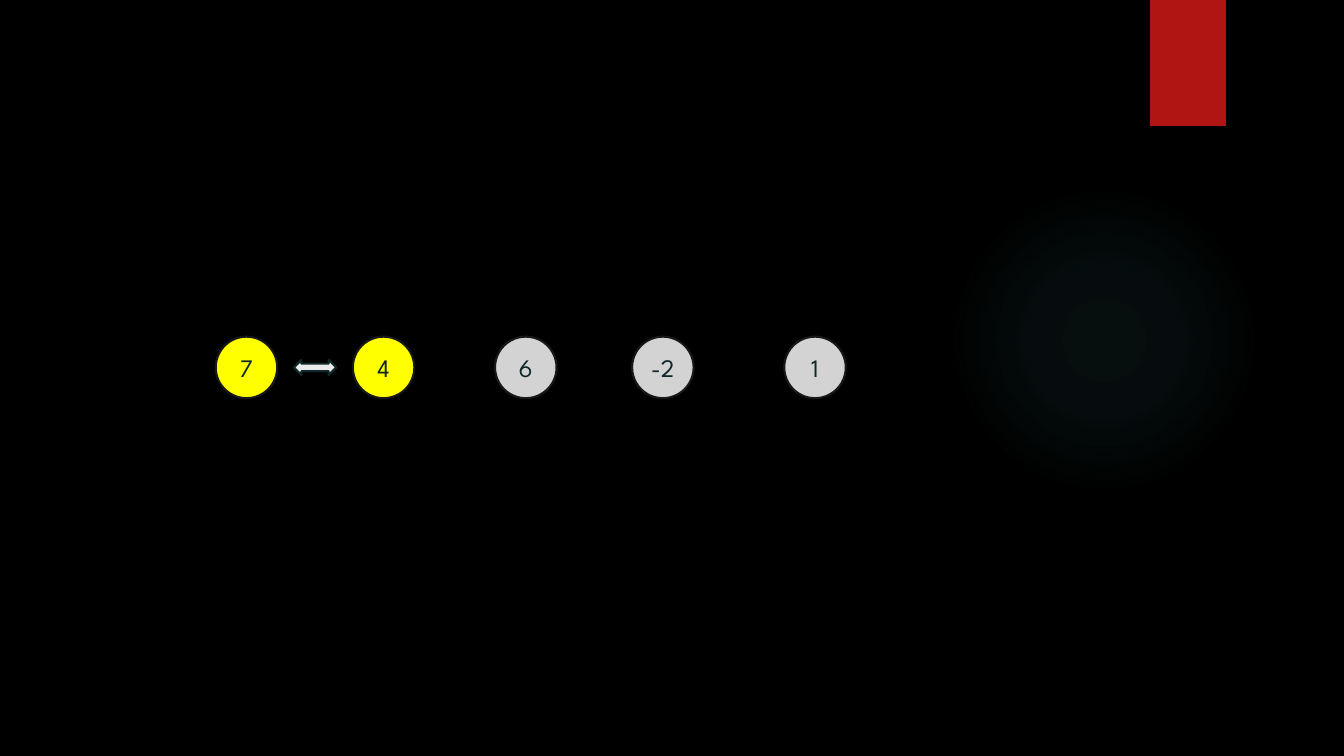
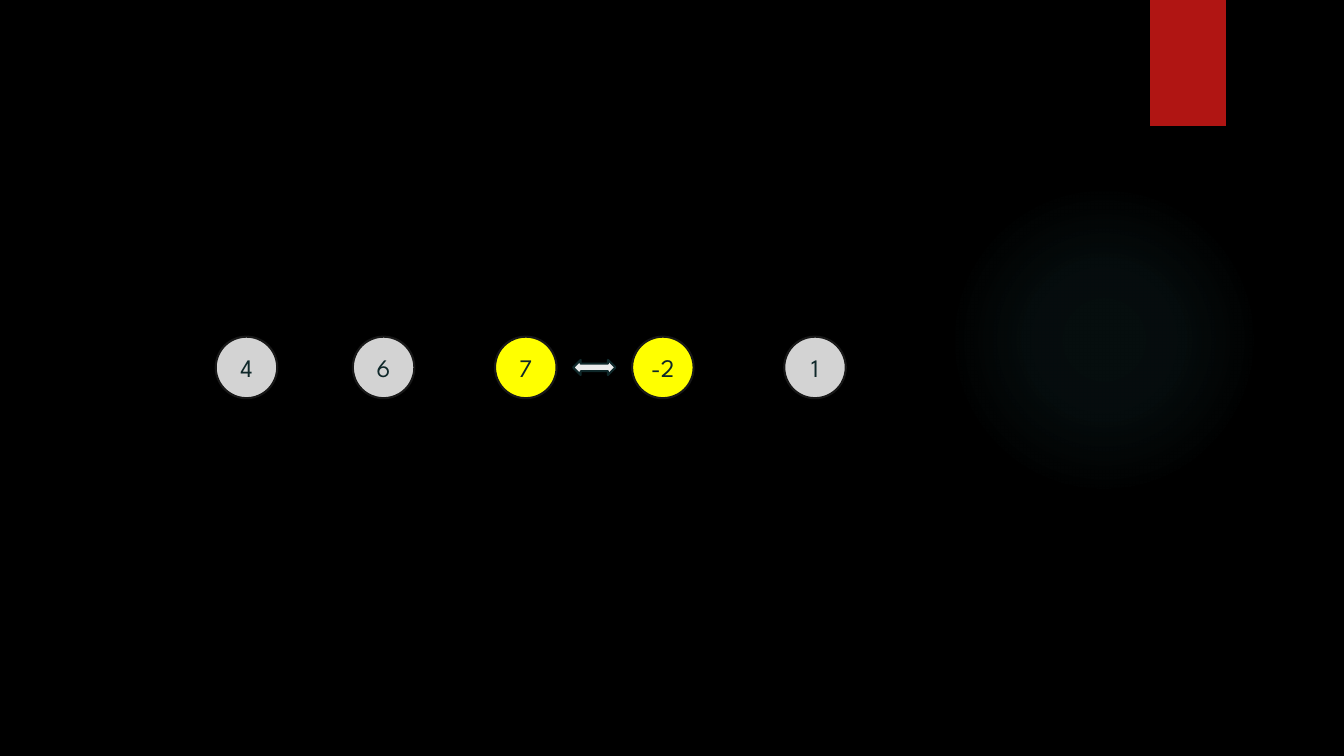
import pptx
import pptx.util
import pptx.dml.color
import pptx.enum.shapes
import pptx.enum.text
import pptx.oxml
import pptx.oxml.ns

HUES = {
    "back": "000000", "glow": "50B9C1", "tab": "B01513",
    "pick": "FFFF00", "rest": "D3D3D3", "rim": "181818",
    "ink": "0F282A", "arrow": "EBEBEB",
}
FONT = "League Spartan"
KIND = pptx.enum.shapes.MSO_SHAPE
SPACE = pptx.oxml.ns.nsdecls("a")

deck = pptx.Presentation()
deck.slide_width = pptx.util.Inches(13.333)
deck.slide_height = pptx.util.Inches(7.5)
COL = deck.slide_width / 100
ROW = deck.slide_height / 100


def hue(name):
    return pptx.dml.color.RGBColor.from_string(HUES[name])


def draw(page, kind, left, top, wide, high, text="", fill=None, line=None,
         size=18, color="ink", font=FONT):
    shape = page.shapes.add_shape(
        kind, int(left * COL), int(top * ROW), int(wide * COL), int(high * ROW))
    shape.shadow.inherit = False
    if fill:
        shape.fill.solid()
        shape.fill.fore_color.rgb = hue(fill)
    else:
        shape.fill.background()
    if line:
        shape.line.color.rgb = hue(line)
        shape.line.width = pptx.util.Pt(1.5)
    else:
        shape.line.fill.background()
    if text:
        frame = shape.text_frame
        frame.word_wrap = False
        frame.margin_left = frame.margin_right = 0
        frame.margin_top = frame.margin_bottom = 0
        frame.vertical_anchor = pptx.enum.text.MSO_ANCHOR.MIDDLE
        par = frame.paragraphs[0]
        par.alignment = pptx.enum.text.PP_ALIGN.CENTER
        run = par.add_run()
        run.text = text
        run.font.size = pptx.util.Pt(size)
        run.font.name = font
        run.font.color.rgb = hue(color)
    return shape


back = deck.slide_master.background.fill
back.solid()
back.fore_color.rgb = hue("back")

stops = "".join(
    f'<a:gs pos="{spot * 1000}"><a:srgbClr val="{HUES["glow"]}">'
    f'<a:alpha val="{alpha * 1000}"/></a:srgbClr></a:gs>'
    for spot, alpha in ((0, 7), (36, 6), (69, 0)))
GLOW = (
    f'<a:gradFill {SPACE} rotWithShape="1"><a:gsLst>{stops}</a:gsLst>'
    '<a:path path="circle"><a:fillToRect l="50000" t="50000" r="50000" b="50000"/>'
    '</a:path></a:gradFill>')
SHADE = (
    f'<a:outerShdw {SPACE} blurRad="38100" dist="25400" dir="5400000" rotWithShape="0">'
    f'<a:srgbClr val="{HUES["back"]}"><a:alpha val="45000"/></a:srgbClr></a:outerShdw>')

SPOTS = (16.05, 26.25, 36.83, 47.03, 58.35)
TOP, WIDE, HIGH = 44.53, 4.58, 8.14
LONG, THICK = 3.15, 2
STEPS = (
    (("7", "4", "6", "-2", "1"), 0),
    (("4", "6", "7", "-2", "1"), 2),
)

for items, first in STEPS:
    page = deck.slides.add_slide(deck.slide_layouts[6])

    glow = draw(page, KIND.OVAL, 70.58, 24.4, 23.1, 41.07)
    props = glow._element.spPr
    blank = props.find(pptx.oxml.ns.qn("a:noFill"))
    props.replace(blank, pptx.oxml.parse_xml(GLOW))

    tab = draw(page, KIND.RECTANGLE, 85.58, 0, 5.63, 16.67, fill="tab")
    shade = tab._element.spPr.find(pptx.oxml.ns.qn("a:effectLst"))
    shade.append(pptx.oxml.parse_xml(SHADE))

    pair = (first, first + 1)
    for place, (left, item) in enumerate(zip(SPOTS, items)):
        draw(page, KIND.OVAL, left, TOP, WIDE, HIGH, text=item,
             fill="pick" if place in pair else "rest", line="rim")

    mid = (SPOTS[first] + SPOTS[first + 1] + WIDE) / 2
    draw(page, KIND.LEFT_RIGHT_ARROW, mid - LONG / 2, TOP + (HIGH - THICK) / 2,
         LONG, THICK, fill="arrow", line="ink")

deck.save("out.pptx")
